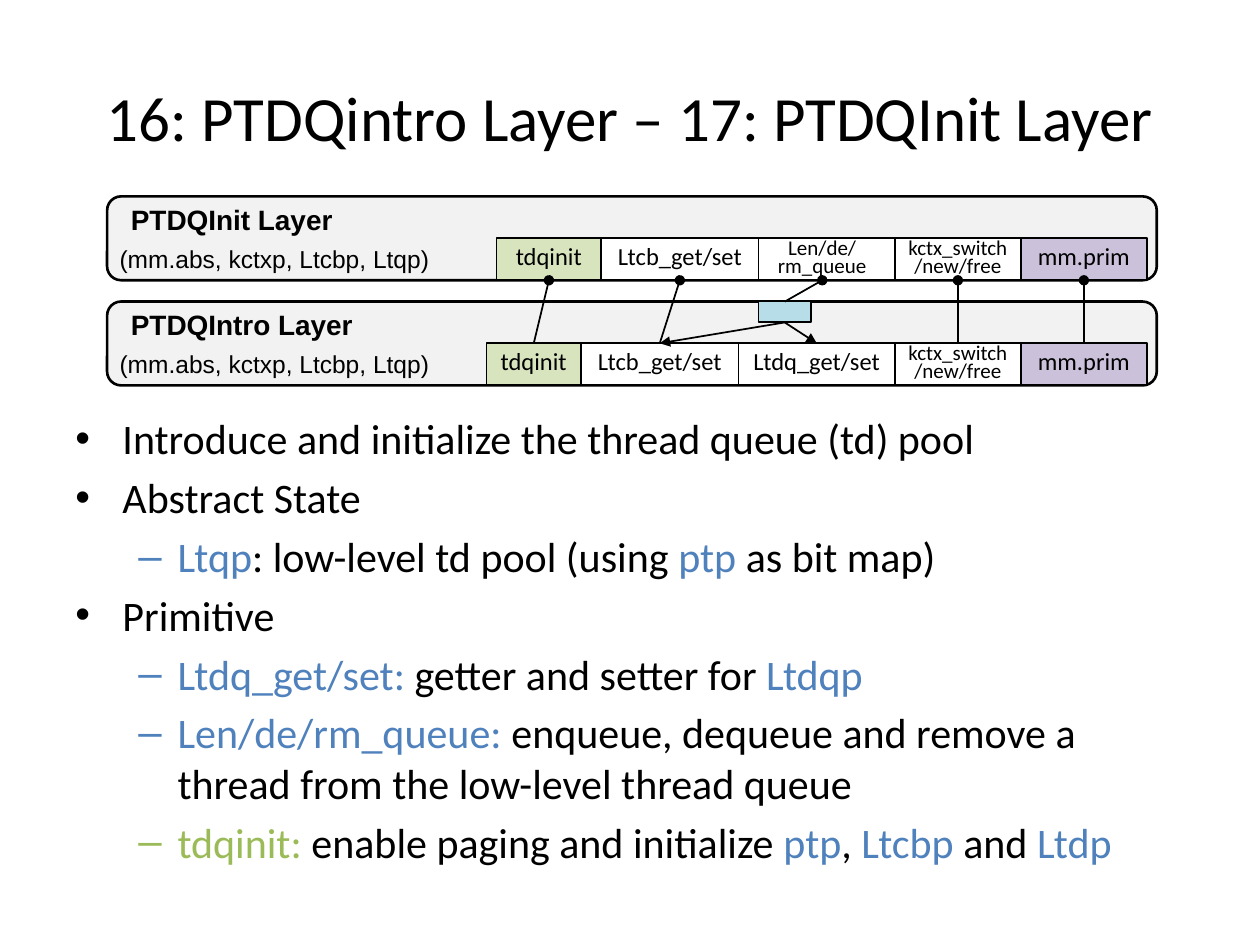
from dataclasses import dataclass

from lxml.etree import SubElement
from pptx import Presentation
from pptx.dml.color import RGBColor
from pptx.enum.shapes import MSO_CONNECTOR as Connector, MSO_SHAPE as Shape
from pptx.enum.text import MSO_ANCHOR as Anchor, PP_ALIGN as Align
from pptx.oxml.ns import qn
from pptx.util import Cm, Pt


@dataclass(frozen=True)
class Theme:
    """Colours, fonts and type sizes of the slide."""
    black: str = "000000"
    white: str = "FFFFFF"
    panel: str = "F2F2F2"
    green: str = "D7E4BD"
    purple: str = "CCC1DA"
    teal: str = "B7DEE8"
    blue_text: str = "4F81BD"
    green_text: str = "9BBB59"
    body_font: str = "Calibri"
    label_font: str = "Arial"
    title_size: int = 36
    body_size: int = 24
    label_size: int = 16
    cell_size: int = 14
    small_size: int = 12


THEME = Theme()
TOP, BOTTOM = 0, 2
ROW_HEIGHT = 0.85
STATE = "(mm.abs, kctxp, Ltcbp, Ltqp)"
SHARED_CELLS = [
    ("kctx_switch/new/free", 15.88, 2.54, THEME.white, THEME.small_size),
    ("mm.prim", 18.42, 2.54, THEME.purple, THEME.cell_size),
]
INIT_CELLS = [
    ("tdqinit", 7.85, 2.11, THEME.green, THEME.cell_size),
    ("Len/de/rm_queue", 12.93, 2.97, THEME.white, THEME.small_size),
    ("Ltcb_get/set", 9.96, 3.17, THEME.white, THEME.cell_size),
] + SHARED_CELLS
INTRO_CELLS = [
    ("tdqinit", 7.65, 1.9, THEME.green, THEME.cell_size),
    ("Ltcb_get/set", 9.55, 3.18, THEME.white, THEME.cell_size),
    ("Ltdq_get/set", 12.73, 3.15, THEME.white, THEME.cell_size),
] + SHARED_CELLS
BLACK, BLUE, GREEN = THEME.black, THEME.blue_text, THEME.green_text
BULLETS = [
    (0, [("Introduce and initialize the thread queue (td) pool", BLACK)]),
    (0, [("Abstract State", BLACK)]),
    (1, [("Ltqp", BLUE), (": low-level td pool (using ", BLACK), ("ptp ", BLUE),
         ("as bit map)", BLACK)]),
    (0, [("Primitive", BLACK)]),
    (1, [("Ltdq_get/set: ", BLUE), ("getter and setter for ", BLACK), ("Ltdqp", BLUE)]),
    (1, [("Len/de/rm_queue: ", BLUE),
         ("enqueue, dequeue and remove a thread from the low-level thread queue", BLACK)]),
    (1, [("tdqinit: ", GREEN), ("enable paging and initialize ", BLACK), ("ptp", BLUE),
         (", ", BLACK), ("Ltcbp ", BLUE), ("and ", BLACK), ("Ltdp", BLUE)]),
]
BULLET_STYLES = [("•", 0.95, -0.95), ("–", 2.06, -0.79)]


def format_run(run, size, font=THEME.body_font, color=THEME.black, bold=False):
    """Set the typeface, size and colour of a run."""
    run.font.name, run.font.size, run.font.bold = font, Pt(size), bold
    run.font.color.rgb = RGBColor.from_string(color)


def add_box(slide, kind, box, fill, line_width=1):
    """Add an outlined shape filled with one colour."""
    shape = slide.shapes.add_shape(kind, *map(Cm, box))
    shape.shadow.inherit = False
    shape.fill.solid()
    shape.fill.fore_color.rgb = RGBColor.from_string(fill)
    shape.line.color.rgb = RGBColor.from_string(THEME.black)
    shape.line.width = Pt(line_width)
    return shape


def add_cell(slide, box, text, fill, size):
    """Add one primitive cell with tight centred text."""
    cell = add_box(slide, Shape.RECTANGLE, box, fill)
    cell.text_frame.text = text
    cell.text_frame.word_wrap = True
    cell.text_frame.vertical_anchor = Anchor.MIDDLE
    paragraph = cell.text_frame.paragraphs[0]
    paragraph.alignment = Align.CENTER
    paragraph.line_spacing = 0.7
    format_run(paragraph.runs[0], size)
    return cell


def add_label(slide, box, text, size, bold=False):
    """Add a text label on a layer panel."""
    frame = slide.shapes.add_textbox(*map(Cm, box)).text_frame
    frame.word_wrap = True
    frame.text = text
    format_run(frame.paragraphs[0].runs[0], size, THEME.label_font, bold=bold)


def add_layer(slide, box, name, cells):
    """Draw a layer panel and return its cells by name."""
    left, top, width, height = box
    row_top = top + height - ROW_HEIGHT
    add_box(slide, Shape.ROUNDED_RECTANGLE, box, THEME.panel, 1.5)
    add_label(slide, (left + 0.23, top, 5.3, 0.94), name, THEME.label_size, True)
    add_label(slide, (left, row_top, 7.4, 0.86), STATE, THEME.cell_size)
    return {
        text: add_cell(slide, (left + offset, row_top, cell_width, ROW_HEIGHT), text, fill, size)
        for text, offset, cell_width, fill, size in cells
    }


def connect(slide, source, target, end, marker):
    """Join the bottom of one box to the top of another with a marked end."""
    connector = slide.shapes.add_connector(Connector.STRAIGHT, 0, 0, 0, 0)
    connector.begin_connect(source, BOTTOM)
    connector.end_connect(target, TOP)
    connector.line.color.rgb = RGBColor.from_string(THEME.black)
    connector.line.width = Pt(1)
    SubElement(connector.line._get_or_add_ln(), qn(f"a:{end}"), type=marker)
    SubElement(connector._element.spPr, qn("a:effectLst"))


def add_diagram(slide, box):
    """Draw both layers and the links between their primitives."""
    left, top, width, height = box
    panel_height = 1.69
    intro_top = top + height - panel_height
    init = add_layer(slide, (left, top, width, panel_height), "PTDQInit Layer", INIT_CELLS)
    intro = add_layer(slide, (left, intro_top, width, panel_height), "PTDQIntro Layer", INTRO_CELLS)
    queue = add_box(slide, Shape.RECTANGLE, (left + 13.13, intro_top, 1.06, 0.42), THEME.teal)
    for name, cell in init.items():
        connect(slide, cell, intro.get(name, queue), "headEnd", "oval")
    for name in ("Ltcb_get/set", "Ltdq_get/set"):
        connect(slide, queue, intro[name], "tailEnd", "triangle")


def add_title(slide, box, text):
    """Place and format the title placeholder."""
    title = slide.shapes.title
    title.left, title.top, title.width, title.height = map(Cm, box)
    title.text_frame.text = text
    title.text_frame.vertical_anchor = Anchor.MIDDLE
    paragraph = title.text_frame.paragraphs[0]
    paragraph.alignment = Align.CENTER
    format_run(paragraph.runs[0], THEME.title_size)


def add_bullets(slide, box):
    """Write the two-level bullet list."""
    frame = slide.shapes.add_textbox(*map(Cm, box)).text_frame
    frame.word_wrap = True
    for index, (level, parts) in enumerate(BULLETS):
        paragraph = frame.add_paragraph() if index else frame.paragraphs[0]
        paragraph.level = level
        paragraph.space_before = Pt(THEME.body_size * 0.2)
        symbol, margin, indent = BULLET_STYLES[level]
        properties = paragraph._p.get_or_add_pPr()
        properties.set("marL", str(Cm(margin)))
        properties.set("indent", str(Cm(indent)))
        SubElement(properties, qn("a:buFont"), typeface=THEME.label_font)
        SubElement(properties, qn("a:buChar"), char=symbol)
        for text, color in parts:
            run = paragraph.add_run()
            run.text = text
            format_run(run, THEME.body_size, color=color)


def main():
    """Build and save the presentation."""
    presentation = Presentation()
    presentation.slide_width, presentation.slide_height = Cm(25.4), Cm(19.05)
    slide = presentation.slides.add_slide(presentation.slide_layouts[5])
    add_title(slide, (1.27, 0.76, 22.86, 3.18), "16: PTDQintro Layer – 17: PTDQInit Layer")
    add_diagram(slide, (2.16, 3.96, 21.16, 3.81))
    add_bullets(slide, (1.27, 8.2, 22.86, 9.53))
    presentation.save("out.pptx")


if __name__ == "__main__":
    main()
